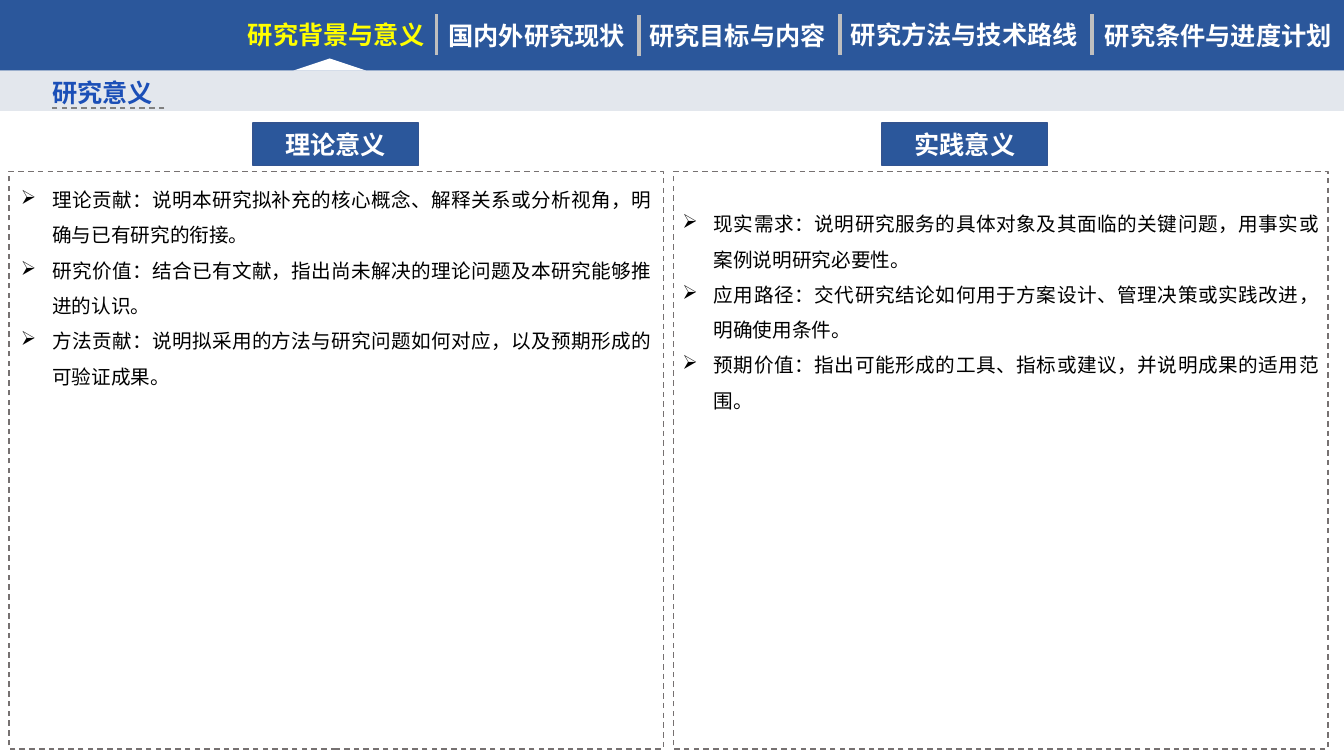
from lxml import etree
from pptx import Presentation
from pptx import util as u
from pptx.dml.color import RGBColor
from pptx.enum import dml, shapes, text
from pptx.oxml.ns import qn

FONT = "Noto Sans CJK SC"
BLUE = RGBColor(0x2B, 0x57, 0x9B)
BLUE_EDGE = RGBColor(0x32, 0x54, 0x91)
TITLE_BLUE = RGBColor(0x1B, 0x4F, 0xB7)
YELLOW = RGBColor(0xFF, 0xFF, 0x00)
WHITE = RGBColor(0xFF, 0xFF, 0xFF)
BLACK = RGBColor(0x00, 0x00, 0x00)
BAND = RGBColor(0xE3, 0xE7, 0xED)
SEPARATOR = RGBColor(0xBF, 0xBF, 0xBF)
FRAME = RGBColor(0x76, 0x71, 0x71)
UNDERLINE = RGBColor(0x80, 0x80, 0x80)

TABS = [
    ("研究背景与意义", 2.36, 0.14, 1.97, YELLOW),
    ("国内外研究现状", 4.35, 0.15, 1.98, WHITE),
    ("研究目标与内容", 6.34, 0.15, 1.99, WHITE),
    ("研究方法与技术路线", 8.34, 0.14, 2.48, WHITE),
    ("研究条件与进度计划", 10.86, 0.15, 2.48, WHITE),
]
SEPARATORS = [(4.33, 0.14), (6.34, 0.15), (8.33, 0.14), (10.83, 0.14)]
TITLE = "研究意义"
COLUMNS = [
    {
        "heading": "理论意义",
        "heading_left": 2.51,
        "frame_left": 0.09,
        "body": (0.11, 1.7, 6.45, 5.71),
        "points": [
            "理论贡献：说明本研究拟补充的核心概念、解释关系或分析视角，明确与已有研究的衔接。",
            "研究价值：结合已有文献，指出尚未解决的理论问题及本研究能够推进的认识。",
            "方法贡献：说明拟采用的方法与研究问题如何对应，以及预期形成的可验证成果。",
        ],
    },
    {
        "heading": "实践意义",
        "heading_left": 8.75,
        "frame_left": 6.68,
        "body": (6.67, 1.94, 6.51, 5.36),
        "points": [
            "现实需求：说明研究服务的具体对象及其面临的关键问题，用事实或案例说明研究必要性。",
            "应用路径：交代研究结论如何用于方案设计、管理决策或实践改进，明确使用条件。",
            "预期价值：指出可能形成的工具、指标或建议，并说明成果的适用范围。",
        ],
    },
]


def style_runs(paragraph, size, color, bold):
    for run in paragraph.runs:
        run.font.size = u.Pt(size)
        run.font.bold = bold
        run.font.name = FONT
        run.font.color.rgb = color
        east_asian = etree.SubElement(run._r.get_or_add_rPr(), qn("a:ea"))
        east_asian.set("typeface", FONT)


def add_block(slide, kind, box, fill=None, line=None, dashed=False):
    shape = slide.shapes.add_shape(kind, *map(u.Inches, box))
    shape.shadow.inherit = False
    if fill is None:
        shape.fill.background()
    else:
        shape.fill.solid()
        shape.fill.fore_color.rgb = fill
    if line is None:
        shape.line.fill.background()
    else:
        style_line(shape.line, line, 1, dashed)
    return shape


def style_line(line, color, width, dashed):
    line.color.rgb = color
    line.width = u.Pt(width)
    if dashed:
        line.dash_style = dml.MSO_LINE.DASH


def add_line(slide, ends, color, width, dashed=False):
    connector = slide.shapes.add_connector(
        shapes.MSO_CONNECTOR.STRAIGHT, *map(u.Inches, ends))
    style_line(connector.line, color, width, dashed)
    etree.SubElement(connector._element.spPr, qn("a:effectLst"))


def add_label(slide, words, box, color):
    frame = slide.shapes.add_textbox(*map(u.Inches, box)).text_frame
    frame.word_wrap = True
    frame.text = words
    style_runs(frame.paragraphs[0], 18, color, True)


def add_points(slide, points, box):
    frame = slide.shapes.add_textbox(*map(u.Inches, box)).text_frame
    frame.word_wrap = True
    frame.text = "\n".join(points)
    for paragraph in frame.paragraphs:
        properties = paragraph._p.get_or_add_pPr()
        properties.set("marL", str(u.Inches(0.31)))
        properties.set("indent", str(-u.Inches(0.31)))
        etree.SubElement(properties, qn("a:buChar")).set("char", "➢")
        paragraph.alignment = text.PP_ALIGN.JUSTIFY
        paragraph.line_spacing = 1.5
        style_runs(paragraph, 14, BLACK, False)


def add_column(slide, column):
    heading = add_block(slide, shapes.MSO_SHAPE.ROUNDED_RECTANGLE,
                        (column["heading_left"], 1.22, 1.64, 0.42), BLUE, BLUE_EDGE)
    heading.adjustments[0] = 0
    frame = heading.text_frame
    frame.text = column["heading"]
    frame.vertical_anchor = text.MSO_ANCHOR.MIDDLE
    frame.paragraphs[0].alignment = text.PP_ALIGN.CENTER
    style_runs(frame.paragraphs[0], 18, WHITE, True)
    add_points(slide, column["points"], column["body"])
    add_block(slide, shapes.MSO_SHAPE.RECTANGLE,
              (column["frame_left"], 1.7, 6.49, 5.73), line=FRAME, dashed=True)


def main():
    presentation = Presentation()
    presentation.slide_width = u.Inches(13.33)
    presentation.slide_height = u.Inches(7.5)
    slide = presentation.slides.add_slide(presentation.slide_layouts[6])

    add_block(slide, shapes.MSO_SHAPE.RECTANGLE, (0, -0.01, 13.33, 0.71), BLUE)
    for x, top in SEPARATORS:
        add_line(slide, (x, top, x, top + 0.41), SEPARATOR, 2.5)
    for words, left, top, width, color in TABS:
        add_label(slide, words, (left, top, width, 0.4), color)
    marker = add_block(slide, shapes.MSO_SHAPE.ISOSCELES_TRIANGLE,
                       (2.91, 0.58, 0.72, 0.12), WHITE)
    marker.adjustments[0] = 0.5

    add_block(slide, shapes.MSO_SHAPE.RECTANGLE, (0, 0.7, 13.33, 0.4), BAND)
    add_label(slide, TITLE, (0.42, 0.72, 1.3, 0.4), TITLE_BLUE)
    for column in COLUMNS:
        add_column(slide, column)
    add_line(slide, (1.63, 1.07, 0.51, 1.07), UNDERLINE, 1, True)

    presentation.save("out.pptx")


if __name__ == "__main__":
    main()
